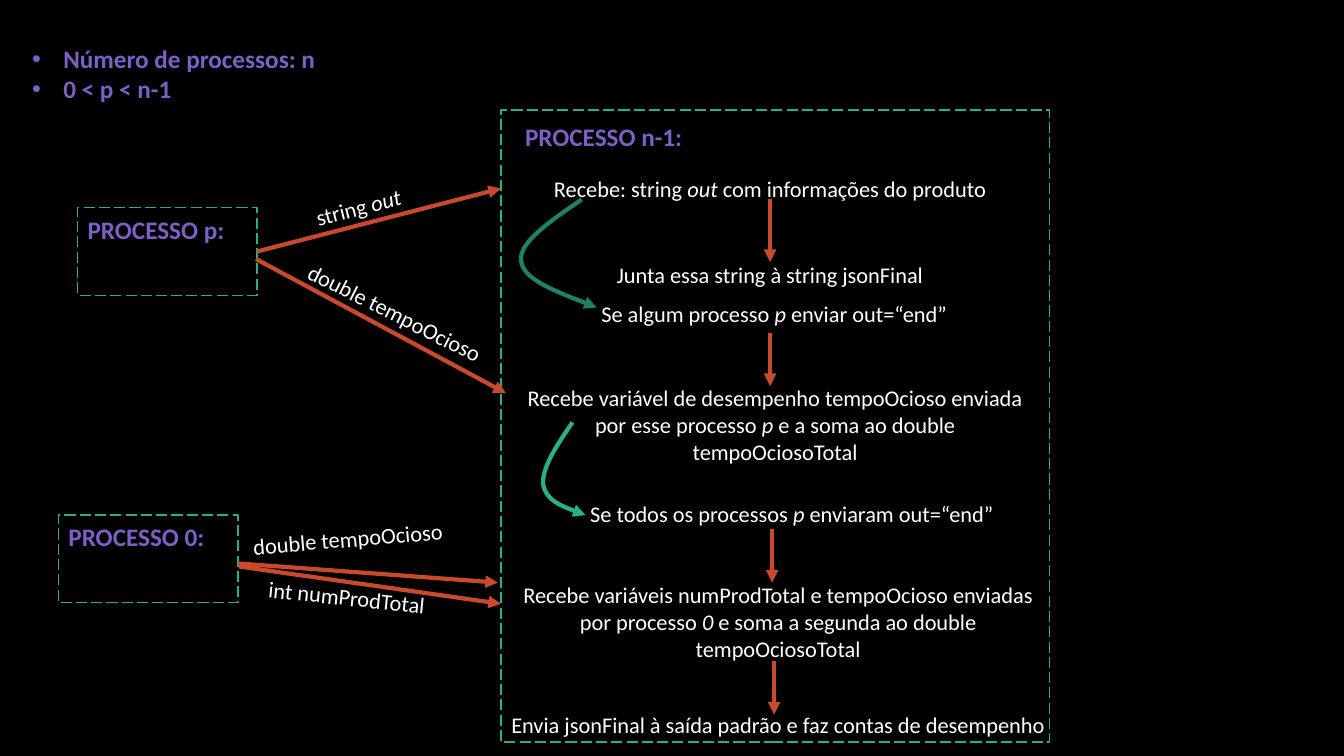
import pptx
import pptx.dml.color
import pptx.enum.dml
import pptx.enum.shapes
import pptx.enum.text
import pptx.oxml.ns
import pptx.oxml.xmlchemy
import pptx.util
from lxml import etree

CELL = pptx.util.Inches(0.1)
COLUMNS, ROWS = 133.33, 75
COLORS = {
    "background": "000000",
    "title": "7C60C6",
    "text": "FFFFFF",
    "frame": "29AF8C",
    "arrow": "C9492C",
    "dark_loop": "1E8168",
}
LABEL_HEIGHT = 3.7
PROCESS_WIDTH, PROCESS_HEIGHT = 17.8, 8.7


def cells(*counts):
    return [round(count * CELL) for count in counts]


def rgb(name):
    return pptx.dml.color.RGBColor.from_string(COLORS[name])


def add_element(parent, tag, **attributes):
    return etree.SubElement(parent, pptx.oxml.ns.qn(tag), **attributes)


def style_line(line, color, width):
    line.color.rgb = rgb(color)
    line.width = pptx.util.Pt(width)


def add_arrowhead(owner):
    add_element(owner.line._get_or_add_ln(), "a:tailEnd", type="triangle")


def add_text(slide, box, paragraphs, color="text", size=16, bold=False,
             centered=True, wrap=True, rotation=0, bullets=False):
    label = slide.shapes.add_textbox(*cells(*box))
    label.rotation = rotation
    frame = label.text_frame
    frame.word_wrap = wrap
    frame.auto_size = pptx.enum.text.MSO_AUTO_SIZE.SHAPE_TO_FIT_TEXT
    for number, parts in enumerate(paragraphs):
        paragraph = frame.add_paragraph() if number else frame.paragraphs[0]
        if centered:
            paragraph.alignment = pptx.enum.text.PP_ALIGN.CENTER
        if bullets:
            properties = paragraph._p.get_or_add_pPr()
            indent = cells(3.1)[0]
            properties.set("marL", str(indent))
            properties.set("indent", str(-indent))
            add_element(properties, "a:buFont", typeface="Arial")
            add_element(properties, "a:buChar", char="•")
        for position, part in enumerate(parts):
            run = paragraph.add_run()
            run.text = part
            run.font.name = "Calibri"
            run.font.size = pptx.util.Pt(size)
            run.font.bold = bold
            run.font.italic = position % 2 == 1
            run.font.color.rgb = rgb(color)


def add_title(slide, box, *lines, bullets=False):
    add_text(slide, box, [[line] for line in lines], "title", 18, True,
             centered=False, bullets=bullets)


def add_frame(slide, left, top, width, height):
    frame = slide.shapes.add_shape(
        pptx.enum.shapes.MSO_SHAPE.RECTANGLE, *cells(left, top, width, height))
    frame.shadow.inherit = False
    frame.fill.background()
    style_line(frame.line, "frame", 1)
    frame.line.dash_style = pptx.enum.dml.MSO_LINE.LONG_DASH
    return frame


def add_process(slide, left, top, name):
    frame = add_frame(slide, left, top, PROCESS_WIDTH, PROCESS_HEIGHT)
    add_title(slide, (left, top + 0.15, PROCESS_WIDTH, 4), name)
    return frame


def add_arrow(slide, start, end):
    arrow = slide.shapes.add_connector(
        pptx.enum.shapes.MSO_CONNECTOR.STRAIGHT, *cells(*start, *end))
    style_line(arrow.line, "arrow", 3)
    add_arrowhead(arrow)
    add_element(arrow._element.spPr, "a:effectLst")
    return arrow


def add_loop(slide, color, start, *curve_points):
    builder = slide.shapes.build_freeform(*cells(*start))
    builder.add_line_segments([cells(*point) for point in curve_points], close=False)
    loop = builder.convert_to_shape()
    loop.shadow.inherit = False
    loop.fill.background()
    style_line(loop.line, color, 3)
    add_arrowhead(loop)
    segments = list(loop._element.iter(pptx.oxml.ns.qn("a:lnTo")))
    outline = segments[0].getparent()
    for first in range(0, len(segments), 3):
        curve = add_element(outline, "a:cubicBezTo")
        for segment in segments[first:first + 3]:
            curve.append(segment[0])
            outline.remove(segment)


def main():
    deck = pptx.Presentation()
    deck.slide_width, deck.slide_height = cells(COLUMNS, ROWS)
    slide = deck.slides.add_slide(deck.slide_layouts[6])
    slide.background.fill.solid()
    slide.background.fill.fore_color.rgb = rgb("background")

    add_title(slide, (2.2, 3.8, 37.3, 7.1),
              "Número de processos: n", "0 < p < n-1", bullets=True)
    add_frame(slide, 49.7, 10.9, 54.4, 62.7)
    add_title(slide, (51.1, 11.5, 17.8, 4), "PROCESSO n-1:")
    process_p = add_process(slide, 7.7, 20.6, "PROCESSO p:")
    add_process(slide, 5.8, 51.1, "PROCESSO 0:")

    steps = [
        (51.1, 16.9, 50.6, LABEL_HEIGHT, True,
         ["Recebe: string ", "out", " com informações do produto"]),
        (58.1, 25.4, 36.6, LABEL_HEIGHT, True,
         ["Junta essa string à string jsonFinal"]),
        (58.5, 29.3, 36.6, LABEL_HEIGHT, True,
         ["Se algum processo ", "p", " enviar out=“end”"]),
        (49.7, 37.6, 54.4, 9.1, True,
         ["Recebe variável de desempenho tempoOcioso enviada por esse processo ",
          "p", " e a soma ao double tempoOciosoTotal"]),
        (57.2, 49.1, 42.7, LABEL_HEIGHT, False,
         ["Se todos os processos ", "p", " enviaram out=“end”"]),
        (50, 57.2, 54.4, 9.1, True,
         ["Recebe variáveis numProdTotal e tempoOcioso enviadas por processo ",
          "0", " e soma a segunda ao double tempoOciosoTotal"]),
        (49.4, 70.1, 55.6, LABEL_HEIGHT, False,
         ["Envia jsonFinal à saída padrão e faz contas de desempenho"]),
    ]
    for *box, wrap, parts in steps:
        add_text(slide, box, [parts], wrap=wrap)

    for column, top, length in [(76.4, 19.7, 6.3), (76.4, 33, 5.3),
                                (76.6, 52.5, 5.3), (76.8, 65.6, 5.3)]:
        add_arrow(slide, (column, top), (column, top + length))

    string_message = add_arrow(slide, (25.5, 24.9), (49.7, 18.7))
    string_message.begin_connect(process_p, 3)
    for start, end in [((25.4, 25.7), (50.2, 39)),
                       ((23.7, 56.2), (49.7, 59.9)),
                       ((23.6, 55.9), (49.4, 57.8))]:
        add_arrow(slide, start, end)

    for left, top, width, rotation, parts in [
        (28.7, 18.7, 13.7, 345.7, ["string ", "out"]),
        (28.5, 29.2, 21.3, 26.7, ["double tempoOcioso"]),
        (22.8, 51.6, 23.4, 355.3, ["double tempoOcioso"]),
        (22.7, 57.4, 23.4, 5.9, ["int numProdTotal"]),
    ]:
        add_text(slide, (left, top, width, LABEL_HEIGHT), [parts], rotation=rotation)

    add_loop(slide, "dark_loop", (57.7, 19.8), (54.5, 22), (51.4, 24.1), (51.7, 25.9),
             (51.9, 27.7), (55.6, 29.1), (59.2, 30.5))
    add_loop(slide, "frame", (56.8, 41.9), (55.2, 44.2), (53.7, 46.5), (53.9, 48.1),
             (54.2, 49.6), (56.1, 50.4), (58.1, 51.1))

    deck.save("out.pptx")


if __name__ == "__main__":
    main()
